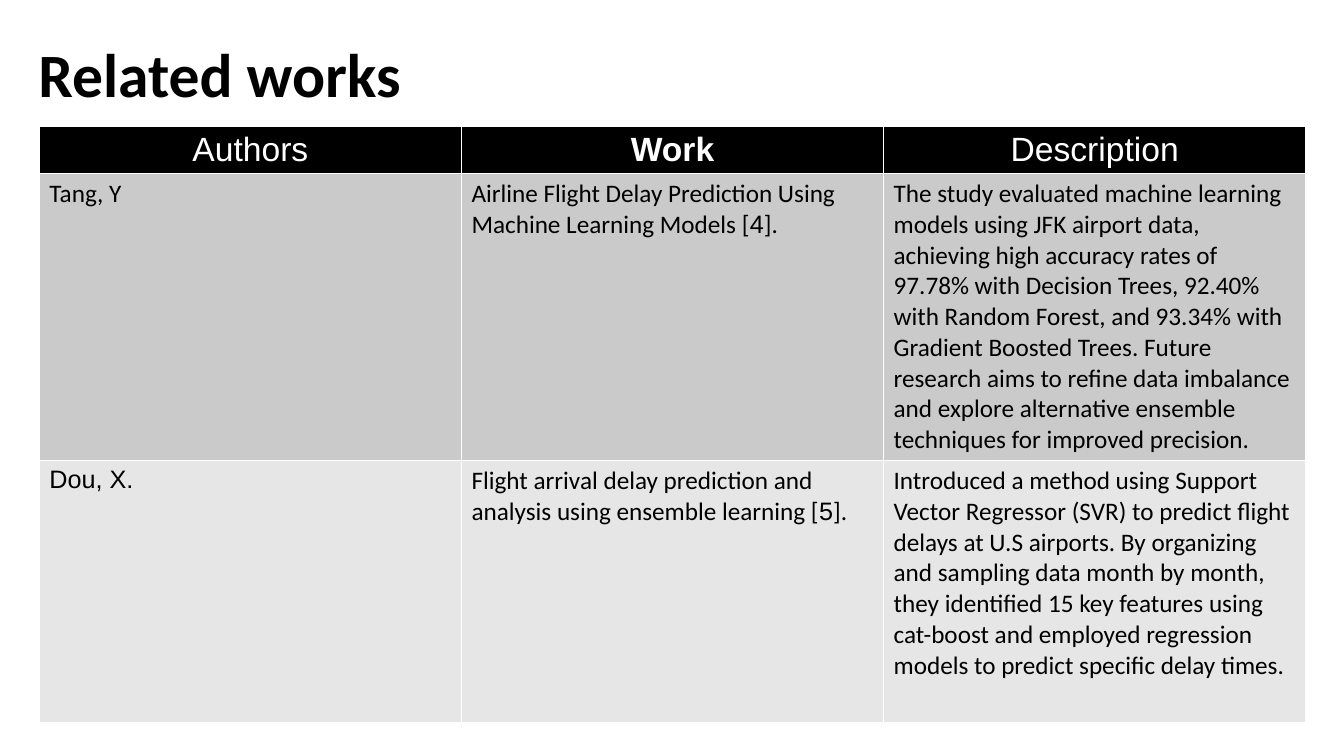
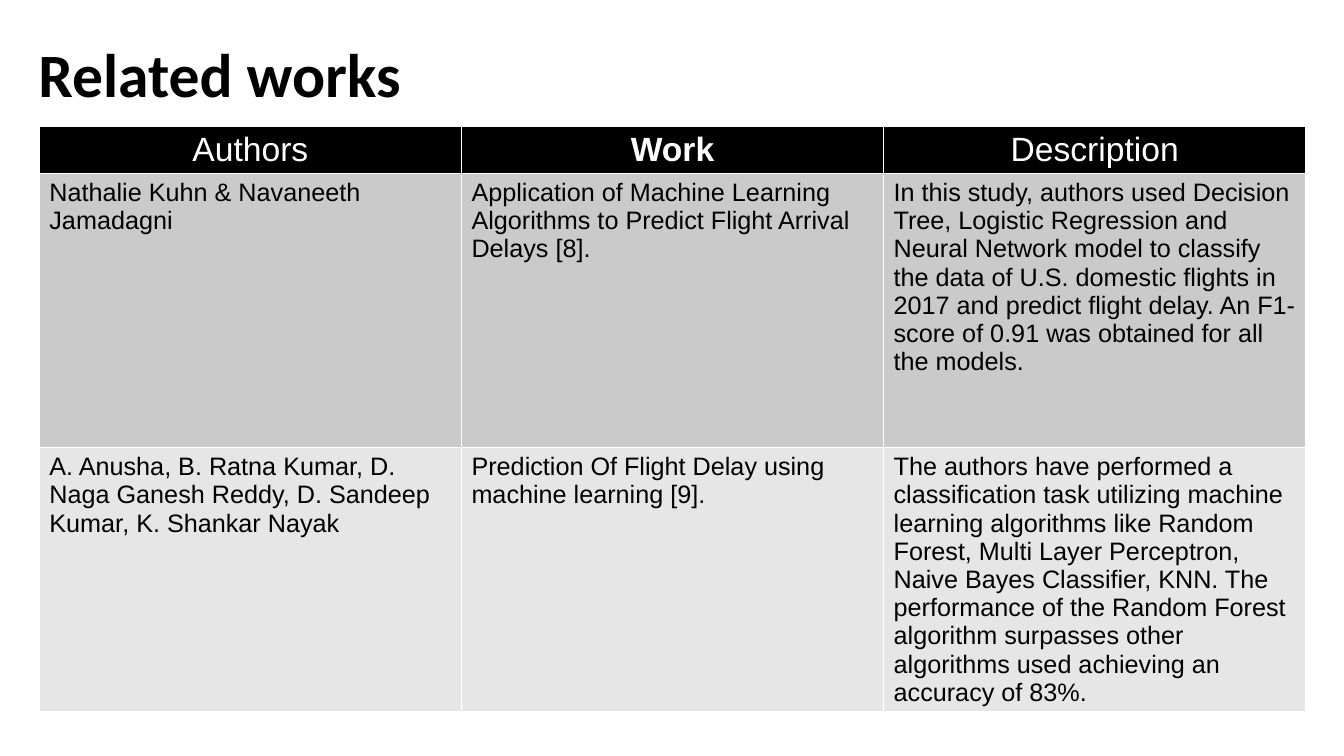
"""Build two slides of related works, each a title over a comparison table."""
from dataclasses import dataclass

from pptx import Presentation
from pptx.dml.color import RGBColor
from pptx.enum.text import MSO_ANCHOR, PP_ALIGN
from pptx.util import Inches, Pt

LEFT, CENTER = PP_ALIGN.LEFT, PP_ALIGN.CENTER
MIDDLE = MSO_ANCHOR.MIDDLE
TITLE_ONLY = 5


@dataclass(frozen=True)
class Theme:
    """Colours, fonts, type sizes in points and lengths in inches."""
    black: RGBColor = RGBColor(0x00, 0x00, 0x00)
    white: RGBColor = RGBColor(0xFF, 0xFF, 0xFF)
    bands: tuple = (RGBColor(0xCA, 0xCA, 0xCA), RGBColor(0xE6, 0xE6, 0xE6))
    heading_font: str = "Calibri"
    body_font: str = "Arial"
    title_size: int = 44
    header_size: int = 24
    body_size: int = 18
    slide: tuple = (13.33, 7.5)
    title_box: tuple = (0.28, 0.46, 8.7, 0.61)
    table_origin: tuple = (0.39, 1.25)
    table_width: float = 12.56
    row_heights: tuple = (0.46, 2.72, 2.6)


THEME = Theme()
SANS, SERIFLESS_BODY = THEME.heading_font, THEME.body_font
TITLE = "Related works"
HEADERS = (("Authors", False), ("Work", True), ("Description", False))


def heading(text):
    """Return a one-run cell in the heading font."""
    return [(text, SANS)]


def body(text):
    """Return a one-run cell in the body font."""
    return [(text, SERIFLESS_BODY)]


def cited(work, number):
    """Return a work's name followed by its bracketed reference number."""
    return [(f"{work} [", SANS), (number, SERIFLESS_BODY), ("].", SANS)]


SLIDES = (
    (
        (
            heading("Tang, Y"),
            cited("Airline Flight Delay Prediction Using Machine Learning Models", "4"),
            heading(
                "The study evaluated machine learning models using JFK airport data, "
                "achieving high accuracy rates of 97.78% with Decision Trees, 92.40% "
                "with Random Forest, and 93.34% with Gradient Boosted Trees. Future "
                "research aims to refine data imbalance and explore alternative "
                "ensemble techniques for improved precision."
            ),
        ),
        (
            body("Dou, X."),
            cited("Flight arrival delay prediction and analysis using ensemble learning", "5"),
            heading(
                "Introduced a method using Support Vector Regressor (SVR) to predict "
                "flight delays at U.S airports. By organizing and sampling data month "
                "by month, they identified 15 key features using cat-boost and employed "
                "regression models to predict specific delay times."
            ),
        ),
    ),
    (
        (
            body("Nathalie Kuhn & Navaneeth Jamadagni"),
            body(
                "Application of Machine Learning Algorithms to Predict Flight Arrival "
                "Delays [8]."
            ),
            body(
                "In this study, authors used Decision Tree, Logistic Regression and "
                "Neural Network model to classify the data of U.S. domestic flights in "
                "2017 and predict flight delay. An F1-score of 0.91 was obtained for "
                "all the models."
            ),
        ),
        (
            body(
                "A. Anusha, B. Ratna Kumar, D. Naga Ganesh Reddy, D. Sandeep Kumar, "
                "K. Shankar Nayak"
            ),
            body("Prediction Of Flight Delay using machine learning [9]."),
            body(
                "The authors have performed a classification task utilizing machine "
                "learning algorithms like Random Forest, Multi Layer Perceptron, Naive "
                "Bayes Classifier, KNN. The performance of the Random Forest algorithm "
                "surpasses other algorithms used achieving an accuracy of 83%."
            ),
        ),
    ),
)


def style_run(r, font, size, color, bold=False):
    """Set a run's font, size, colour and weight."""
    r.font.name = font
    r.font.size = Pt(size)
    r.font.color.rgb = color
    r.font.bold = bold


def add_title(s, text):
    """Place and format the slide's title placeholder."""
    sp = s.shapes.title
    sp.left, sp.top, sp.width, sp.height = map(Inches, THEME.title_box)
    tf = sp.text_frame
    tf.text = text
    tf.vertical_anchor = MIDDLE
    p = tf.paragraphs[0]
    p.alignment, p.line_spacing = LEFT, 0.9
    style_run(p.runs[0], SANS, THEME.title_size, THEME.black, bold=True)


def fill_cell(cell, runs, fill, size, color, align=LEFT, bold=False):
    """Fill a cell and write its runs."""
    cell.fill.solid()
    cell.fill.fore_color.rgb = fill
    p = cell.text_frame.paragraphs[0]
    p.alignment = align
    for text, font in runs:
        r = p.add_run()
        r.text = text
        style_run(r, font, size, color, bold)


def add_works_table(s, works):
    """Add a header row and one shaded row per work."""
    size = (THEME.table_width, sum(THEME.row_heights))
    table = s.shapes.add_table(
        len(works) + 1, len(HEADERS), *map(Inches, THEME.table_origin + size)
    ).table
    for row, height in zip(table.rows, THEME.row_heights):
        row.height = Inches(height)
    for col, (text, bold) in enumerate(HEADERS):
        fill_cell(table.cell(0, col), body(text), THEME.black,
                  THEME.header_size, THEME.white, CENTER, bold)
    for row, (work, band) in enumerate(zip(works, THEME.bands), start=1):
        for col, runs in enumerate(work):
            fill_cell(table.cell(row, col), runs, band, THEME.body_size, THEME.black)


def main():
    """Build and save the presentation."""
    prs = Presentation()
    prs.slide_width, prs.slide_height = map(Inches, THEME.slide)
    for works in SLIDES:
        s = prs.slides.add_slide(prs.slide_layouts[TITLE_ONLY])
        add_title(s, TITLE)
        add_works_table(s, works)
    prs.save("out.pptx")


if __name__ == "__main__":
    main()
